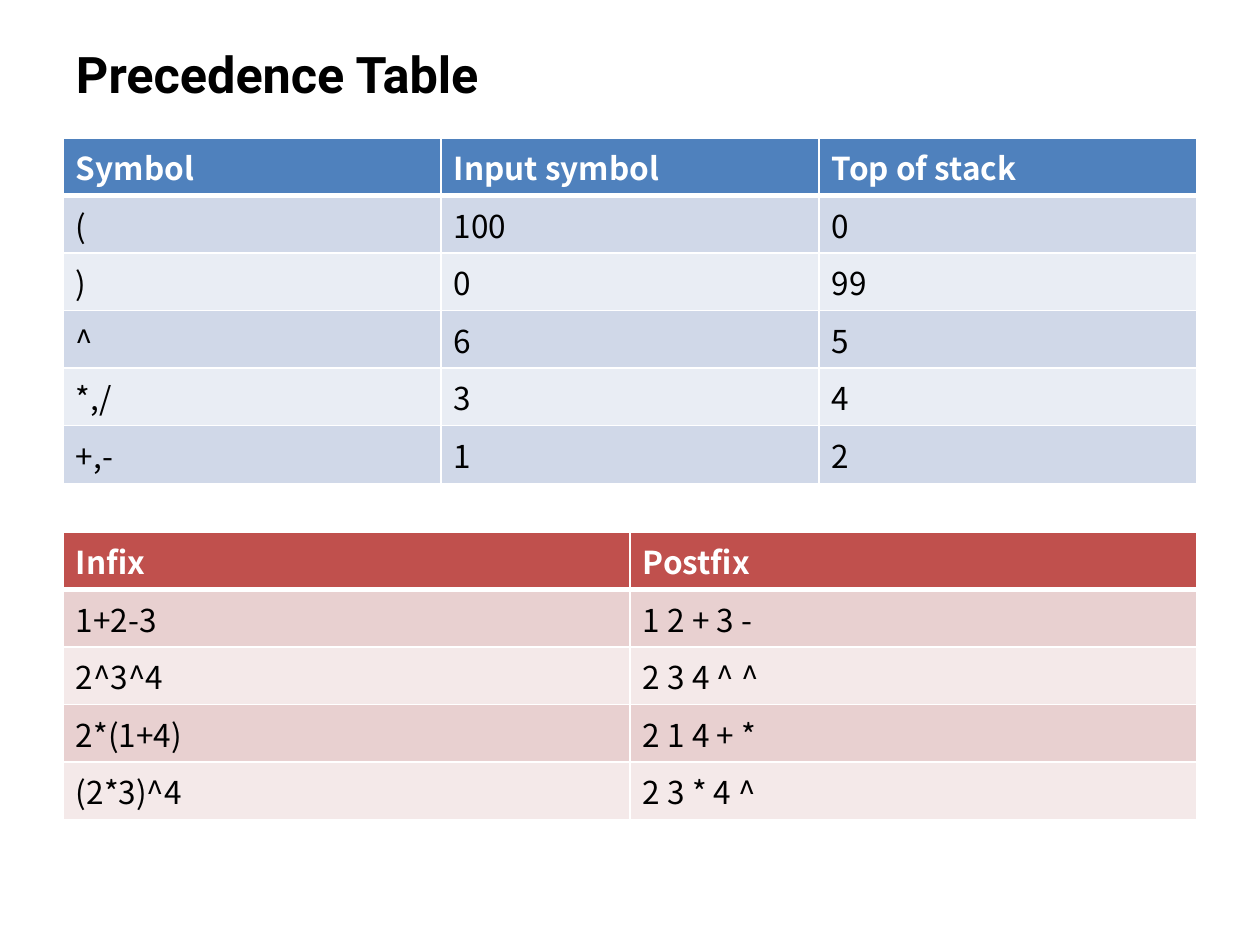
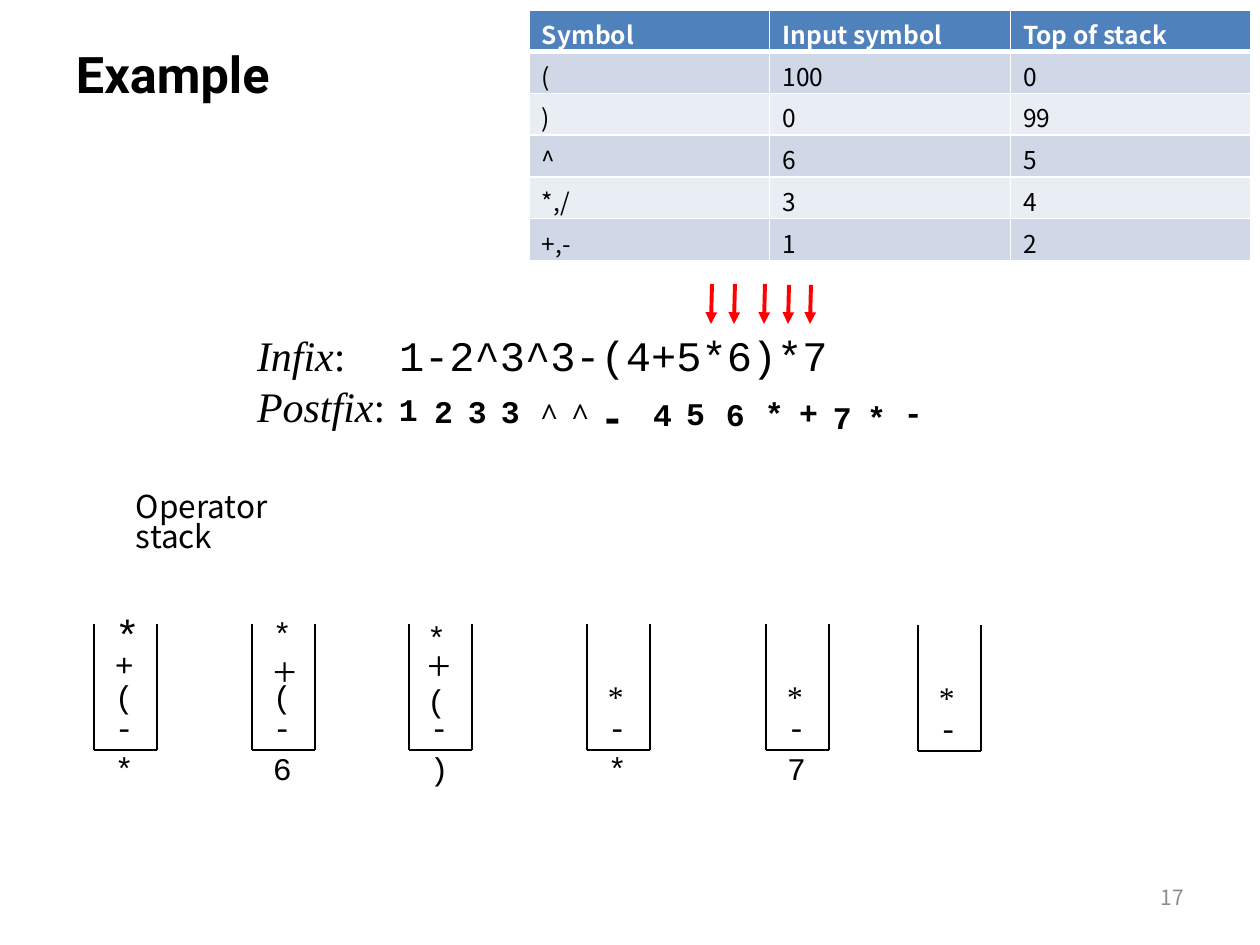
"""Build two slides on operator precedence and infix to postfix conversion."""
import dataclasses

import pptx
import pptx.dml.color
import pptx.enum.shapes
import pptx.enum.text
import pptx.oxml
import pptx.oxml.ns
import pptx.util


@dataclasses.dataclass(frozen=True)
class Theme:
    sans: str = "Noto Sans CJK KR"
    heading: str = "Roboto"
    mono: str = "Courier New"
    serif: str = "Times New Roman"
    ink: str = "000000"
    paper: str = "FFFFFF"
    arrow: str = "FF0000"
    muted: str = "8C8C8C"
    blue: tuple = ("4F81BD", "D0D8E8", "E9EDF4")
    red: tuple = ("C0504D", "E8D0D0", "F4E9E9")
    title_size: float = 28.8
    large: int = 24
    body: int = 18
    compact: int = 14
    small: int = 12


T = Theme()
PX = 914400 / 126
INSET_X, INSET_Y = 13, 6

PRECEDENCE = [
    ("Symbol", "Input symbol", "Top of stack"),
    ("(", "100", "0"),
    (")", "0", "99"),
    ("^", "6", "5"),
    ("*,/", "3", "4"),
    ("+,-", "1", "2"),
]
CONVERSIONS = [
    ("Infix", "Postfix"),
    ("1+2-3", "1 2 + 3 -"),
    ("2^3^4", "2 3 4 ^ ^"),
    ("2*(1+4)", "2 1 4 + *"),
    ("(2*3)^4", "2 3 * 4 ^"),
]
EXPRESSION = [
    [("Infix", {"italic": True}), (":\t", {}), ("1-2^3^3-(4+5*6)*7", {"font": T.mono})],
    [("Postfix", {"italic": True}), (":", {})],
]
CARET = {"font": T.serif}
POSTFIX = [
    ("1", 386, 384, {}), ("2", 421, 386, {}), ("3", 455, 386, {}), ("3", 488, 386, {}),
    ("^", 527, 388, CARET), ("^", 558, 388, CARET), ("-", 587, 384, {"size": T.large}),
    ("4", 640, 389, {}), ("5", 673, 388, {}), ("6", 713, 389, {}), ("*", 752, 388, {}),
    ("+", 786, 387, {}), ("7", 820, 392, {}), ("*", 854, 392, {}), ("-", 891, 387, {}),
]
ARROWS = [(712, 284), (735, 284), (765, 284), (789, 285), (811, 285)]

SERIF = {"font": T.serif}
BIG_SERIF = {"font": T.serif, "size": T.large}
MINUS, TIMES = ("-", 0, 0, {}), ("*", 0, 0, SERIF)
STACKS = [
    (94, 624, "*", [MINUS, ("(", 0, 0, {}), ("+", 0, 0, {}), ("*", 0, -6, {"size": T.large})]),
    (252, 624, "6", [MINUS, ("(", 0, 0, {}), ("+", 0, 0, BIG_SERIF), ("*", 0, 0, {})]),
    (409, 624, ")", [MINUS, ("(", -3, 4, {}), ("+", -3, -6, BIG_SERIF), ("*", -3, 4, {})]),
    (587, 624, "*", [MINUS, TIMES]),
    (766, 624, "7", [MINUS, TIMES]),
    (918, 625, "", [MINUS, TIMES]),
]
TRAY_W, TRAY_H = 63, 126
MARK_W, MARK_H = 47, 54


def px(n):
    return pptx.util.Emu(round(n * PX))


def rgb(code):
    return pptx.dml.color.RGBColor.from_string(code)


def write(p, text, font=T.sans, size=T.body, color=T.ink, bold=False, italic=False):
    r = p.add_run()
    r.text = text
    f = r.font
    f.name, f.size, f.bold, f.italic = font, pptx.util.Pt(size), bold, italic
    f.color.rgb = rgb(color)


def frame(tf, right=INSET_X, anchor=pptx.enum.text.MSO_ANCHOR.TOP):
    tf.word_wrap = True
    tf.vertical_anchor = anchor
    tf.margin_left, tf.margin_right = px(INSET_X), px(right)
    tf.margin_top = tf.margin_bottom = px(INSET_Y)
    return tf


def add_box(shapes, x, y, w, h, **layout):
    return frame(shapes.add_textbox(px(x), px(y), px(w), px(h)).text_frame, **layout)


def add_mark(shapes, text, x, y, w=MARK_W, **fmt):
    write(add_box(shapes, x, y, w, MARK_H).paragraphs[0], text, **{"font": T.mono, **fmt})


def add_line(shapes, start, end, color=T.ink, width=1, head=False):
    points = [px(n) for n in (*start, *end)]
    sp = shapes.add_connector(pptx.enum.shapes.MSO_CONNECTOR.STRAIGHT, *points)
    sp.line.color.rgb, sp.line.width = rgb(color), pptx.util.Pt(width)
    if head:
        sp.line._get_or_add_ln().append(element('<a:tailEnd {} type="triangle"/>'))
    sp._element.spPr.append(element("<a:effectLst {}/>"))


def element(xml):
    return pptx.oxml.parse_xml(xml.format(pptx.oxml.ns.nsdecls("a")))


def set_borders(cell, top, bottom):
    props = cell._tc.get_or_add_tcPr()
    for i, (side, width) in enumerate((("L", 1), ("R", 1), ("T", top), ("B", bottom))):
        props.insert(i, element(
            f'<a:ln{side} {{}} w="{pptx.util.Pt(width)}"><a:solidFill>'
            f'<a:srgbClr val="{T.paper}"/></a:solidFill></a:ln{side}>'))


def add_table(slide, rows, x, y, w, row_h, palette, size=T.body, bottom=INSET_Y):
    n, cols = len(rows), len(rows[0])
    table = slide.shapes.add_table(n, cols, px(x), px(y), px(w), px(n * row_h)).table
    table.horz_banding = False
    header, *bands = palette
    for i, row in enumerate(rows):
        table.rows[i].height = px(row_h)
        for j, text in enumerate(row):
            cell = table.cell(i, j)
            cell.margin_left = cell.margin_right = px(INSET_X)
            cell.margin_top, cell.margin_bottom = px(INSET_Y), px(bottom)
            cell.fill.solid()
            cell.fill.fore_color.rgb = rgb(bands[(i - 1) % 2] if i else header)
            set_borders(cell, 3 if i == 1 else 1, 1 if i else 3)
            write(cell.text_frame.paragraphs[0], text, size=size, bold=i == 0,
                  color=T.ink if i else T.paper)


def add_stack(slide, x, y, symbol, marks):
    shapes = slide.shapes.add_group_shape().shapes
    right, base = x + TRAY_W, y + TRAY_H
    corners = [(x, y), (x, base), (right, base), (right, y)]
    for start, end in zip(corners, corners[1:]):
        add_line(shapes, start, end)
    for level, (text, dx, dy, fmt) in enumerate(marks):
        top = base - 48 - level * TRAY_H // 4
        add_mark(shapes, text, x + 8 + dx, top + dy, w=34, **fmt)
    if symbol:
        add_mark(shapes, symbol, x + 8, base - 7)


def add_slide(prs, title):
    slide = prs.slides.add_slide(prs.slide_layouts[5])
    sp = slide.shapes.title
    sp.left, sp.top, sp.width, sp.height = (px(n) for n in (63, 38, 1134, 71))
    p = frame(sp.text_frame, anchor=pptx.enum.text.MSO_ANCHOR.MIDDLE).paragraphs[0]
    p.alignment = pptx.enum.text.PP_ALIGN.LEFT
    write(p, title, font=T.heading, size=T.title_size, bold=True)
    return slide


def build_precedence(prs):
    slide = add_slide(prs, "Precedence Table")
    add_table(slide, PRECEDENCE, 63, 138, 1134, 51, T.blue)
    add_table(slide, CONVERSIONS, 63, 532, 1134, 51, T.red)


def build_example(prs):
    slide = add_slide(prs, "Example")
    shapes = slide.shapes
    add_table(slide, PRECEDENCE, 529, 10, 722, 28, T.blue, size=T.compact, bottom=0)

    tf = add_box(shapes, 244, 324, 912, 115)
    for i, runs in enumerate(EXPRESSION):
        p = tf.add_paragraph() if i else tf.paragraphs[0]
        p._p.get_or_add_pPr().append(element(
            f'<a:tabLst {{}}><a:tab pos="{px(142)}" algn="l"/></a:tabLst>'))
        for text, fmt in runs:
            write(p, text, **{"font": T.serif, "size": T.large, **fmt})
    for text, x, y, fmt in POSTFIX:
        add_mark(shapes, text, x, y, bold=True, **fmt)
    for x, y in ARROWS:
        add_line(shapes, (x, y), (x - 1, 324), color=T.arrow, width=2.25, head=True)

    p = add_box(shapes, 123, 488, 238, 50, right=88).paragraphs[0]
    p.line_spacing = 0.8
    write(p, "Operator stack")
    for stack in STACKS:
        add_stack(slide, *stack)

    middle = pptx.enum.text.MSO_ANCHOR.MIDDLE
    p = add_box(shapes, 903, 872, 294, 50, anchor=middle).paragraphs[0]
    p.alignment = pptx.enum.text.PP_ALIGN.RIGHT
    write(p, "17", size=T.small, color=T.muted)


prs = pptx.Presentation()
prs.slide_width, prs.slide_height = px(1260), px(945)
build_precedence(prs)
build_example(prs)
prs.save("out.pptx")
